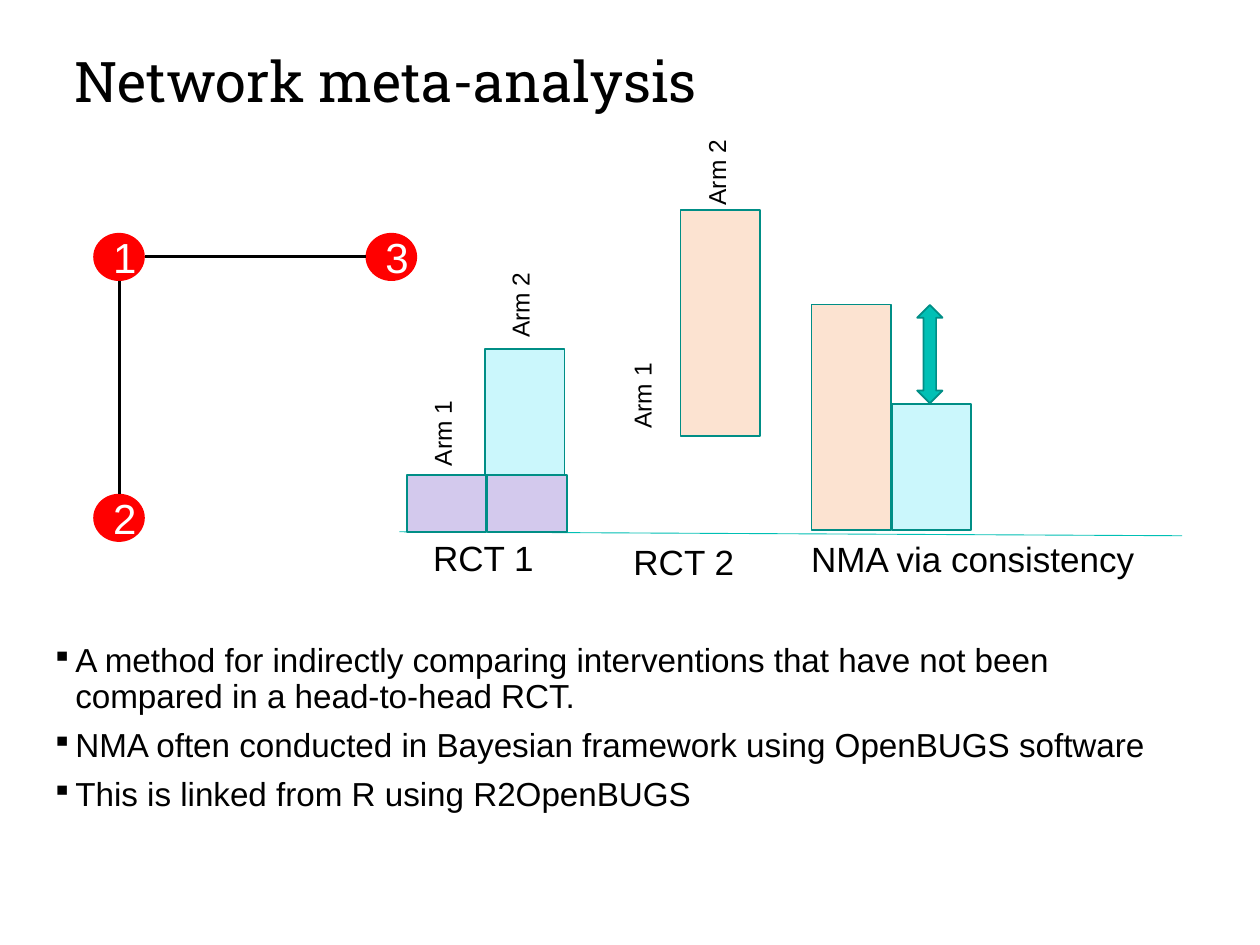
from lxml.etree import SubElement
from pptx import Presentation
from pptx.dml.color import RGBColor
from pptx.enum.shapes import MSO_CONNECTOR, MSO_SHAPE
from pptx.enum.text import MSO_ANCHOR, PP_ALIGN
from pptx.oxml.ns import qn
from pptx.util import Cm, Pt

THEME = {
    "black": "000000", "white": "FFFFFF", "node": "FF0000",
    "common": "D3C9ED", "effect_2": "CBF7FC", "effect_3": "FCE3D1",
    "outline": "008E86", "accent": "00C0B5",
    "heading_font": "Roboto Slab", "body_font": "Arial",
    "title": 32, "node_size": 24, "label": 20, "body": 19, "arm": 14,
}

TITLE = "Network meta-analysis"
POINTS = [
    "A method for indirectly comparing interventions that have not been "
    "compared in a head-to-head RCT.",
    "NMA often conducted in Bayesian framework using OpenBUGS software",
    "This is linked from R using R2OpenBUGS",
]

# All positions are in centimetres.
NODE_WIDTH, NODE_HEIGHT = 1.04, 0.97
NODES = {"1": (2.4, 5.18), "2": (2.4, 10.44), "3": (7.89, 5.18)}  # centres

BAR_WIDTH = 1.6
BASELINE = 10.72
BAR_HEIGHTS = {"common": 1.14, "effect_2": 2.54, "effect_3": 4.55}
BARS = [  # treatment effect, left, bottom
    ("effect_3", 16.36, BASELINE - 0.03),
    ("effect_2", 17.98, BASELINE - 0.03),
    ("common", 8.2, BASELINE),
    ("effect_3", 13.72, 8.79),
    ("effect_2", 9.78, BASELINE - BAR_HEIGHTS["common"]),
    ("common", 9.83, BASELINE),
]
GROUP_LABELS = [  # text, left, top, width, alignment
    ("RCT 1", 8.41, 10.69, 2.67, PP_ALIGN.CENTER),
    ("RCT 2", 12.45, 10.77, 2.67, PP_ALIGN.CENTER),
    ("NMA via consistency", 16.1, 10.72, 8.66, PP_ALIGN.LEFT),
]
ARM_WIDTH, ARM_HEIGHT = 1.83, 0.86
ARM_LABELS = [  # text, centre x, centre y
    ("Arm 1", 8.92, 8.74), ("Arm 2", 10.49, 6.15),
    ("Arm 1", 12.95, 7.98), ("Arm 2", 14.45, 3.48),
]


def color(name):
    return RGBColor.from_string(THEME[name])


def add_bullet(paragraph):
    properties = paragraph._p.get_or_add_pPr()
    properties.set("marL", str(Cm(0.48)))
    properties.set("indent", str(-Cm(0.48)))
    SubElement(properties, qn("a:buSzPct"), val="85000")
    SubElement(properties, qn("a:buChar"), char="▪")


def write(shape, *lines, size, font="body_font", ink="black", align=PP_ALIGN.LEFT,
          anchor=MSO_ANCHOR.TOP, wrap=True, bullets=False, spacing=None, gap=0):
    """Fill a shape with one paragraph per line; gap is the space between them."""
    frame = shape.text_frame
    frame.word_wrap = wrap
    frame.vertical_anchor = anchor
    for index, line in enumerate(lines):
        paragraph = frame.paragraphs[0] if index == 0 else frame.add_paragraph()
        if bullets:
            add_bullet(paragraph)
        paragraph.text = line
        paragraph.alignment = align
        paragraph.line_spacing = spacing
        if index:
            paragraph.space_before = Pt(gap)
        paragraph.font.size = Pt(THEME[size])
        paragraph.font.name = THEME[font]
        paragraph.font.color.rgb = color(ink)


def place(shape, left, top, width, height):
    shape.left, shape.top = Cm(left), Cm(top)
    shape.width, shape.height = Cm(width), Cm(height)


def add_text(slide, left, top, width, height, *lines, **text_format):
    box = slide.shapes.add_textbox(Cm(left), Cm(top), Cm(width), Cm(height))
    write(box, *lines, **text_format)
    return box


def add_figure(slide, kind, left, top, width, height, fill, outline=None):
    figure = slide.shapes.add_shape(kind, Cm(left), Cm(top), Cm(width), Cm(height))
    figure.shadow.inherit = False
    figure.fill.solid()
    figure.fill.fore_color.rgb = color(fill)
    if outline:
        figure.line.color.rgb = color(outline)
        figure.line.width = Pt(1)
    else:
        figure.line.fill.background()
    return figure


def add_line(slide, x1, y1, x2, y2, ink, weight):
    line = slide.shapes.add_connector(
        MSO_CONNECTOR.STRAIGHT, Cm(x1), Cm(y1), Cm(x2), Cm(y2))
    line.line.color.rgb = color(ink)
    line.line.width = Pt(weight)
    SubElement(line._element.spPr, qn("a:effectLst"))


def draw_network(slide):
    for number, (x, y) in NODES.items():
        node = add_figure(slide, MSO_SHAPE.OVAL, x - NODE_WIDTH / 2, y - NODE_HEIGHT / 2,
                          NODE_WIDTH, NODE_HEIGHT, "node")
        write(node, number, size="node_size", ink="white",
              align=PP_ALIGN.CENTER, anchor=MSO_ANCHOR.MIDDLE)
    (x1, y1), (x2, y2), (x3, y3) = NODES.values()
    add_line(slide, x2, y2 - NODE_HEIGHT / 2, x1, y1 + NODE_HEIGHT / 2, "black", 1.75)
    add_line(slide, x1 + NODE_WIDTH / 2, y1, x3 - NODE_WIDTH / 2, y3, "black", 1.75)


def draw_bars(slide):
    add_figure(slide, MSO_SHAPE.UP_DOWN_ARROW, 18.49, 6.15, 0.51, 1.98,
               "accent", "outline")
    add_line(slide, 8.05, BASELINE, 23.83, BASELINE + 0.08, "accent", 0.5)
    for effect, left, bottom in BARS:
        height = BAR_HEIGHTS[effect]
        add_figure(slide, MSO_SHAPE.RECTANGLE, left, bottom - height, BAR_WIDTH, height,
                   effect, "outline")
    for label, left, top, width, align in GROUP_LABELS:
        add_text(slide, left, top, width, 1.12, label, size="label", align=align)
    for label, x, y in ARM_LABELS:
        arm = add_text(slide, x - ARM_WIDTH / 2, y - ARM_HEIGHT / 2, ARM_WIDTH, ARM_HEIGHT,
                       label, size="arm", align=PP_ALIGN.CENTER, wrap=False)
        arm.rotation = 270


def main():
    presentation = Presentation()
    presentation.slide_width, presentation.slide_height = Cm(25.4), Cm(19.05)
    slide = presentation.slides.add_slide(presentation.slide_layouts[5])

    place(slide.shapes.title, 1.24, 0.3, 23.34, 2.79)
    write(slide.shapes.title, TITLE, size="title", font="heading_font",
          anchor=MSO_ANCHOR.MIDDLE, spacing=0.9)
    add_text(slide, 0.79, 12.85, 23.34, 4.24, *POINTS, size="body",
             bullets=True, spacing=0.9, gap=7.5)
    draw_network(slide)
    draw_bars(slide)
    presentation.save("out.pptx")


if __name__ == "__main__":
    main()
